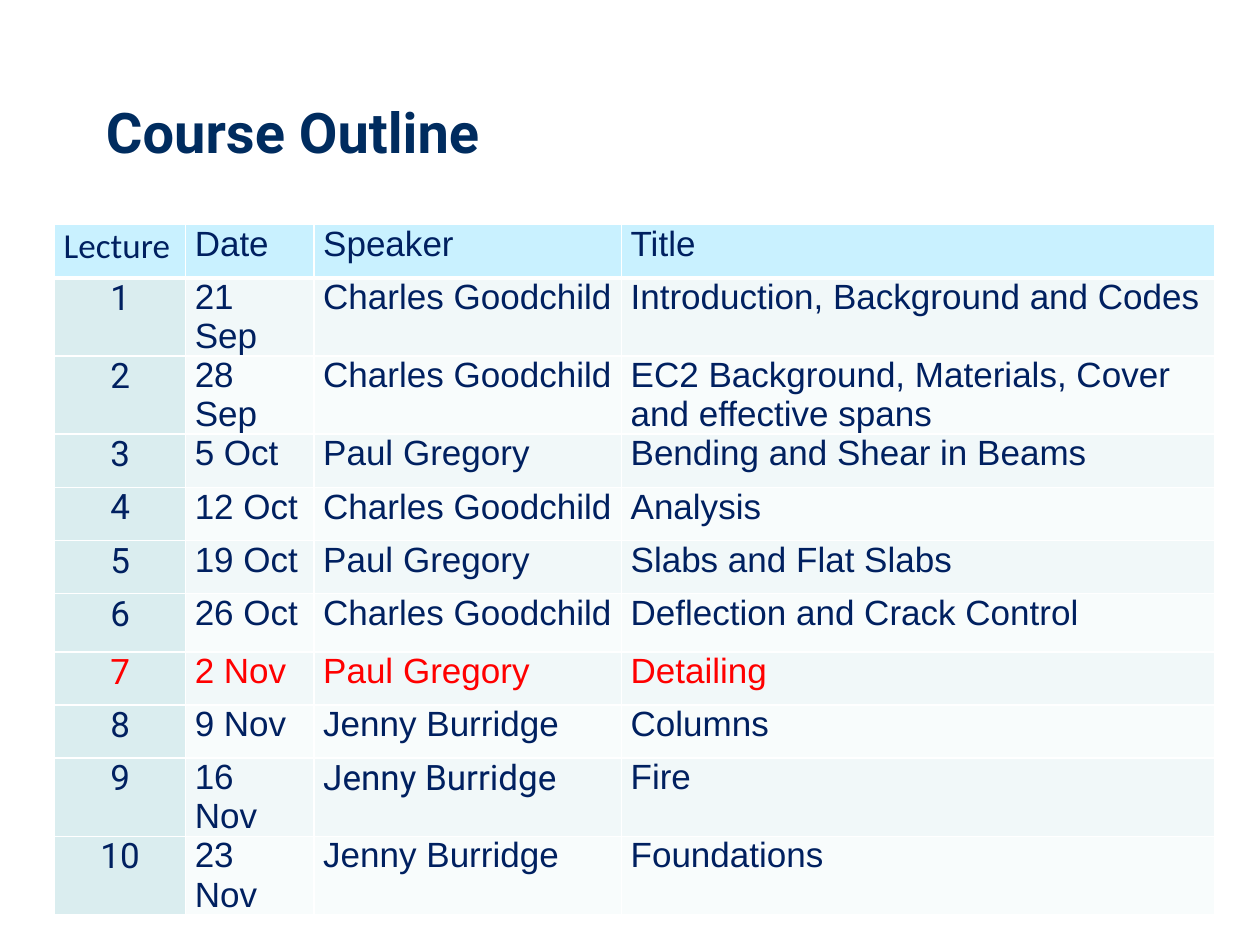
import pptx
import pptx.util
import pptx.dml.color
import pptx.enum.text
import pptx.oxml
import pptx.oxml.ns

Pt = pptx.util.Pt
ALIGN = pptx.enum.text.PP_ALIGN
ANCHOR = pptx.enum.text.MSO_ANCHOR


def color(value):
    return pptx.dml.color.RGBColor.from_string(value)


def add_border(cell, side, width):
    border = pptx.oxml.parse_xml(
        f'<a:{side} {pptx.oxml.ns.nsdecls("a")} w="{Pt(width)}"><a:solidFill>'
        f'<a:srgbClr val="FFFFFF"/></a:solidFill></a:{side}>'
    )
    cell._tc.get_or_add_tcPr().append(border)


presentation = pptx.Presentation()
presentation.slide_width = Pt(720)
presentation.slide_height = Pt(540)
slide = presentation.slides.add_slide(presentation.slide_layouts[5])

title = slide.shapes.title
title_box = {"left": Pt(53.3), "top": Pt(26.6), "width": Pt(494.6), "height": Pt(96.5)}
for name, value in title_box.items():
    setattr(title, name, value)
title.text_frame.text = "Course Outline"
title.text_frame.vertical_anchor = ANCHOR.MIDDLE
paragraph = title.text_frame.paragraphs[0]
paragraph.alignment = ALIGN.LEFT
for name, value in {"name": "Roboto", "size": Pt(32), "bold": True}.items():
    setattr(paragraph.font, name, value)
paragraph.font.color.rgb = color("002C5F")

lectures = [
    ("Lecture", "Date", "Speaker", "Title"),
    ("1", "21 Sep", "Charles Goodchild", "Introduction, Background and Codes"),
    ("2", "28 Sep", "Charles Goodchild", "EC2 Background, Materials, Cover and effective spans"),
    ("3", "5 Oct", "Paul Gregory", "Bending and Shear in Beams"),
    ("4", "12 Oct", "Charles Goodchild", "Analysis"),
    ("5", "19 Oct", "Paul Gregory", "Slabs and Flat Slabs"),
    ("6", "26 Oct", "Charles Goodchild", "Deflection and Crack Control"),
    ("7", "2 Nov", "Paul Gregory", "Detailing"),
    ("8", "9 Nov", "Jenny Burridge", "Columns"),
    ("9", "16 Nov", "Jenny Burridge", "Fire"),
    ("10", "23 Nov", "Jenny Burridge", "Foundations"),
]
column_widths = [74.9, 73.4, 175.7, 339.1]
row_heights = [30.4] * len(lectures)
row_heights[6] = 33.2
current_lecture = 7
special_fonts = {(0, 0): "Calibri", (9, 2): "Roboto"}
cell_format = {
    "margin_left": Pt(5.2),
    "margin_right": Pt(5.2),
    "margin_top": Pt(0),
    "margin_bottom": Pt(0),
    "vertical_anchor": ANCHOR.TOP,
}

table = slide.shapes.add_table(
    len(lectures), len(column_widths), Pt(31.2), Pt(128.4), Pt(sum(column_widths)), Pt(sum(row_heights))
).table
for column, width in zip(table.columns, column_widths):
    column.width = Pt(width)
for row, height in zip(table.rows, row_heights):
    row.height = Pt(height)

for row_index, lecture in enumerate(lectures):
    is_header = row_index == 0
    for column_index, text in enumerate(lecture):
        cell = table.cell(row_index, column_index)
        for name, value in cell_format.items():
            setattr(cell, name, value)
        for side in ("lnL", "lnR", "lnT", "lnB"):
            add_border(cell, side, 3 if is_header and side == "lnB" else 1)

        if is_header:
            fill = "C9F1FF"
        elif column_index == 0:
            fill = "DAEDEF"
        else:
            fill = "F1F8F9" if row_index % 2 else "F8FCFC"
        cell.fill.solid()
        cell.fill.fore_color.rgb = color(fill)

        cell.text = text
        paragraph = cell.text_frame.paragraphs[0]
        if not is_header:
            paragraph.space_before = Pt(6)
            paragraph.space_after = Pt(6)
            if column_index == 0:
                paragraph.alignment = ALIGN.CENTER
        font = paragraph.runs[0].font
        default_font = "Roboto" if column_index == 0 else "Arial"
        font_name = special_fonts.get((row_index, column_index), default_font)
        for name, value in {"name": font_name, "size": Pt(20), "bold": False}.items():
            setattr(font, name, value)
        font.color.rgb = color("FF0000" if row_index == current_lecture else "002060")

presentation.save("out.pptx")
